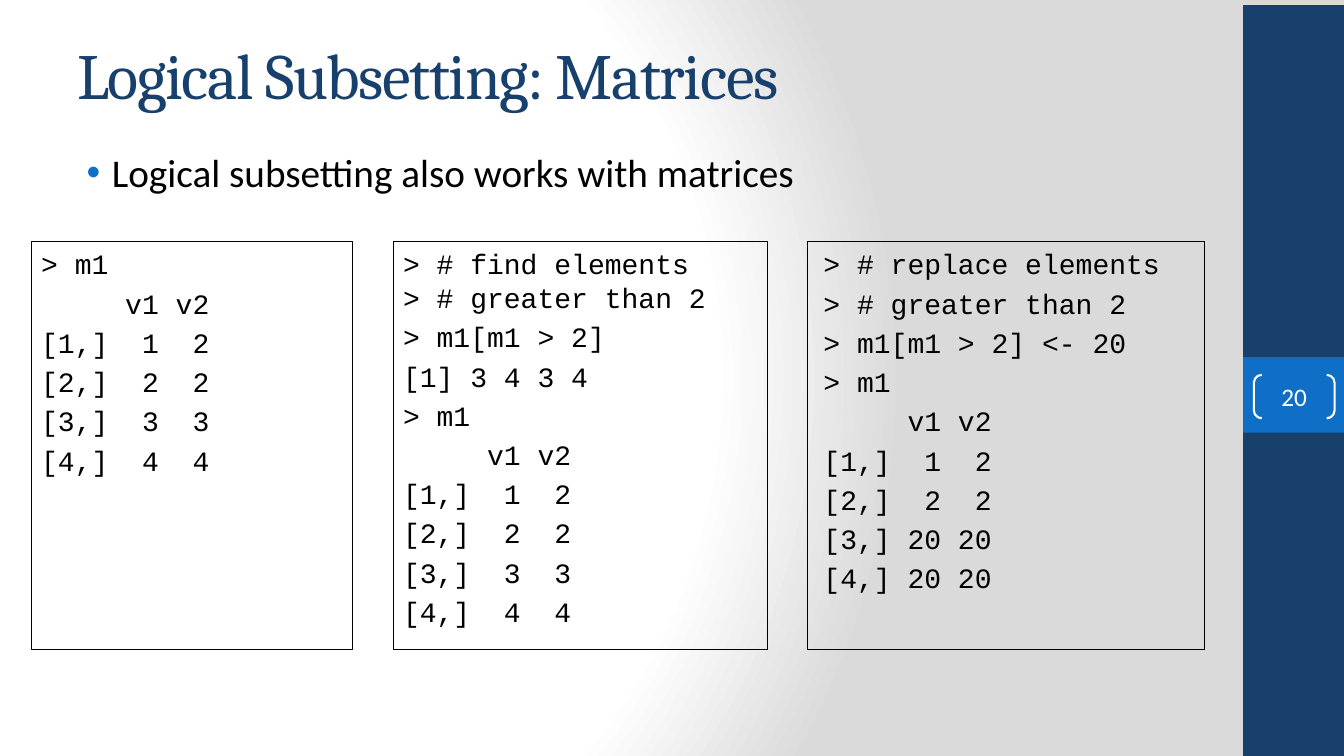
"""Build a slide on logical subsetting of matrices in R."""
from pptx import Presentation
from pptx.dml.color import RGBColor
from pptx.enum import shapes, text
from pptx.oxml import parse_xml
from pptx.oxml.ns import nsdecls
from pptx.util import Pt

NAVY = RGBColor(0x17, 0x40, 0x6D)
BLUE = RGBColor(0x0F, 0x6F, 0xC6)
WHITE = RGBColor(0xFF, 0xFF, 0xFF)
GREY = RGBColor(0xDA, 0xDA, 0xDA)
BLACK = RGBColor(0, 0, 0)
SHAPE = shapes.MSO_SHAPE
STOPS = ((0, WHITE), (75, WHITE), (100, GREY))


def set_background(s):
    """Give the slide a circular gradient from white to grey."""
    stops = "".join(
        f'<a:gs pos="{pos * 1000}"><a:srgbClr val="{color}"/></a:gs>' for pos, color in STOPS
    )
    bg = parse_xml(
        f'<p:bg {nsdecls("p", "a")}><p:bgPr><a:gradFill rotWithShape="1">'
        f'<a:gsLst>{stops}</a:gsLst><a:path path="circle">'
        '<a:fillToRect l="20000" t="50000" r="100000" b="50000"/></a:path>'
        '</a:gradFill><a:effectLst/></p:bgPr></p:bg>'
    )
    s._element.cSld.insert(0, bg)


def add_box(s, kind, box, fill=None, line=None, width=0.75):
    """Add a preset shape with an optional fill and outline."""
    sp = s.shapes.add_shape(kind, *map(Pt, box))
    sp.shadow.inherit = False
    if fill is None:
        sp.fill.background()
    else:
        sp.fill.solid()
        sp.fill.fore_color.rgb = fill
    if line is None:
        sp.line.fill.background()
    else:
        sp.line.color.rgb = line
        sp.line.width = Pt(width)
    return sp


def set_text(sp, content, font, size, color, anchor=text.MSO_ANCHOR.TOP,
             align=text.PP_ALIGN.LEFT):
    """Write text into a shape and format every run."""
    tf = sp.text_frame
    tf.word_wrap = True
    tf.vertical_anchor = anchor
    tf.text = content
    for p in tf.paragraphs:
        p.alignment = align
        for r in p.runs:
            r.font.name = font
            r.font.size = Pt(size)
            r.font.color.rgb = color
    return tf


def add_title(s, content):
    """Add the slide title with tightened letter spacing."""
    sp = s.shapes.add_textbox(Pt(48), Pt(13), Pt(800), Pt(79.2))
    tf = set_text(sp, content, "Cambria", 46, NAVY, text.MSO_ANCHOR.MIDDLE)
    tf.paragraphs[0].runs[0].font._element.set("spc", "-100")


def add_bullet(s, content):
    """Add the bulleted statement under the title."""
    sp = s.shapes.add_textbox(Pt(45.8), Pt(102.4), Pt(805), Pt(58.3))
    tf = set_text(sp, content, "Calibri", 28, BLACK)
    pPr = tf.paragraphs[0]._p.get_or_add_pPr()
    pPr.set("marL", str(Pt(27)))
    pPr.set("indent", str(-Pt(18)))
    for tag in (
        f'<a:buClr {nsdecls("a")}><a:srgbClr val="{BLUE}"/></a:buClr>',
        f'<a:buFont {nsdecls("a")} typeface="Arial"/>',
        f'<a:buChar {nsdecls("a")} char="•"/>',
    ):
        pPr.append(parse_xml(tag))


def add_code(s, left, width, lines, indent=0):
    """Add an outlined box of console lines."""
    sp = add_box(s, SHAPE.RECTANGLE, (left, 172.4, width, 291.6), line=BLACK)
    tf = set_text(sp, "\n".join(lines), "Courier New", 20, BLACK)
    tf.margin_top = Pt(4)
    tf.margin_left = Pt(7.2 + indent)
    for p in tf.paragraphs[1:]:
        p.space_before = Pt(4)


def matrix_lines(values):
    """Return the console printout of a matrix with two columns."""
    rows = [f"[{i},] {v1:2} {v2:2}" for i, (v1, v2) in enumerate(values, 1)]
    return ["> m1", "     v1 v2"] + rows


def add_sidebar(s, number):
    """Add the side band and the bracketed slide number."""
    add_box(s, SHAPE.RECTANGLE, (888, 3.6, 72, 536.4), NAVY)
    add_box(s, SHAPE.RECTANGLE, (888, 255, 72, 54), BLUE)
    sp = add_box(s, SHAPE.DOUBLE_BRACKET, (895.7, 267.8, 57.6, 31), line=WHITE, width=1.5)
    sp.adjustments[0] = 0.18
    tf = set_text(sp, number, "Calibri", 18, WHITE, text.MSO_ANCHOR.MIDDLE,
                  text.PP_ALIGN.CENTER)
    tf.margin_left = tf.margin_right = tf.margin_top = tf.margin_bottom = 0


def main():
    """Build and save the slide."""
    prs = Presentation()
    prs.slide_width, prs.slide_height = Pt(960), Pt(540)
    s = prs.slides.add_slide(prs.slide_layouts[6])
    set_background(s)
    add_sidebar(s, "20")
    add_title(s, "Logical Subsetting: Matrices")
    add_bullet(s, "Logical subsetting also works with matrices")
    m1 = matrix_lines([(1, 2), (2, 2), (3, 3), (4, 4)])
    replaced = matrix_lines([(1, 2), (2, 2), (20, 20), (20, 20)])
    find = ["> # find elements \v> # greater than 2", "> m1[m1 > 2]", "[1] 3 4 3 4"]
    replace = ["> # replace elements", "> # greater than 2", "> m1[m1 > 2] <- 20"]
    add_code(s, 22.3, 229.7, m1)
    add_code(s, 280.8, 267.1, find + m1)
    add_code(s, 576.7, 283.7, replace + replaced, indent=4.3)
    prs.save("out.pptx")


if __name__ == "__main__":
    main()
